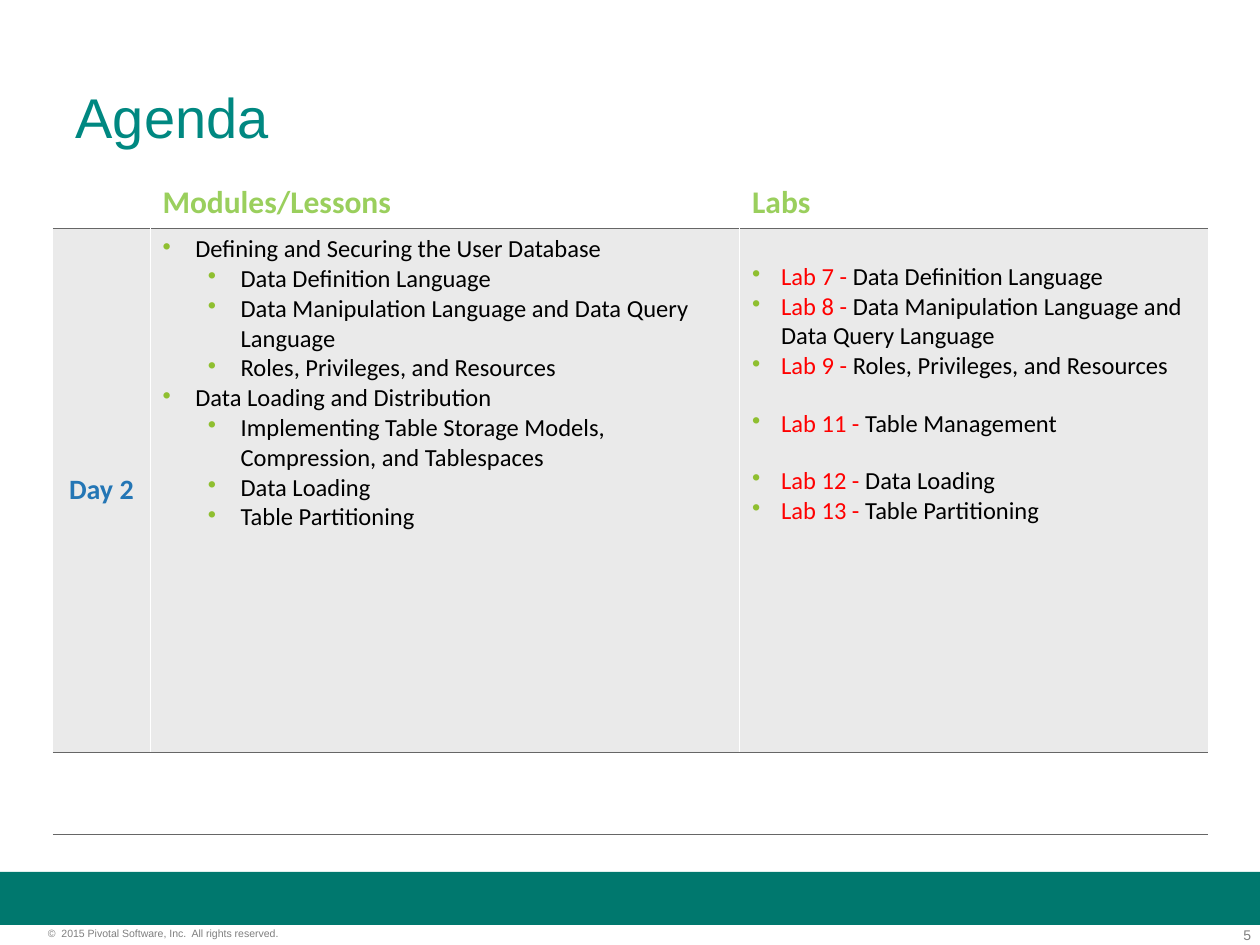
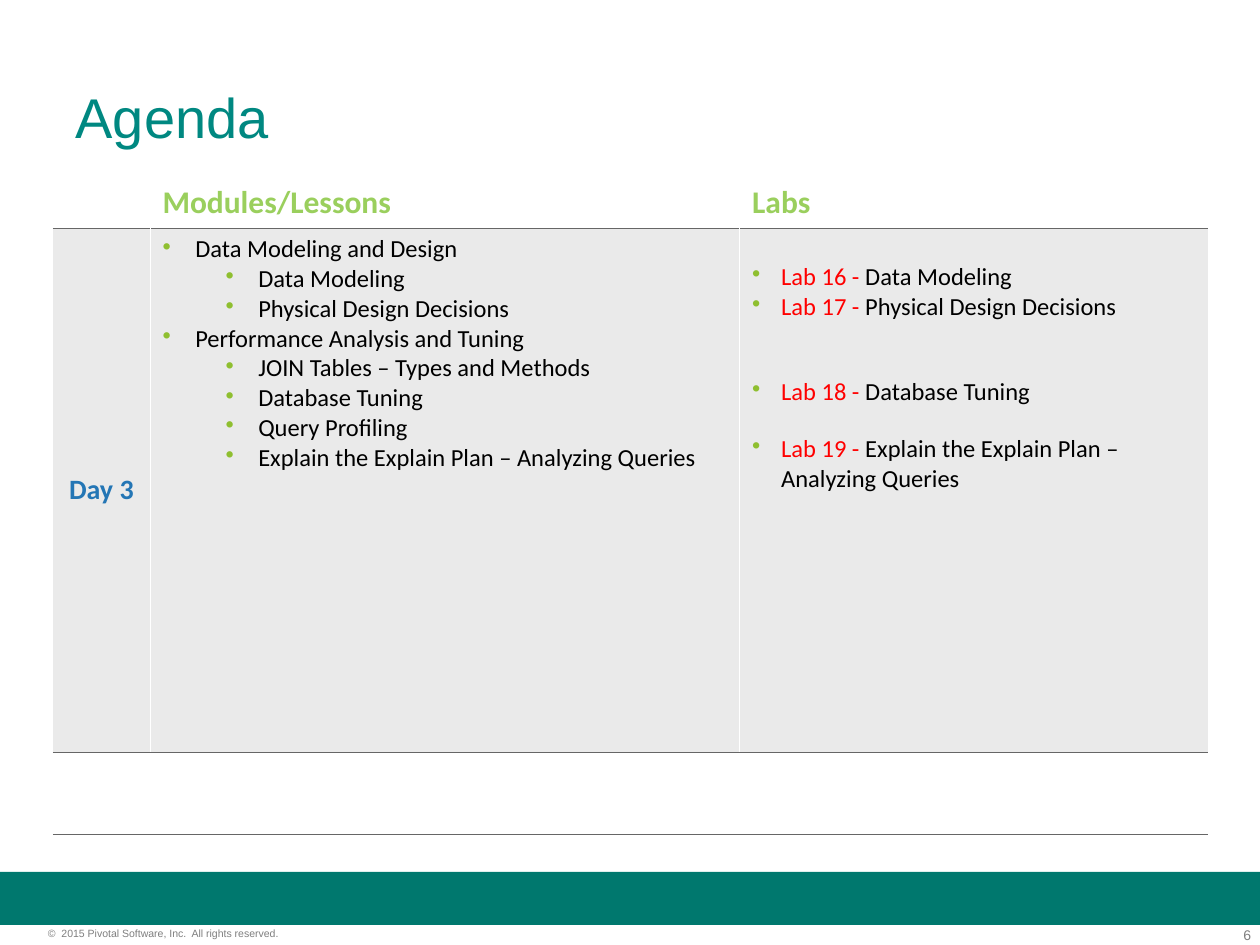
import pptx
import pptx.util
import pptx.dml.color
import pptx.enum.shapes
import pptx.enum.text
import pptx.oxml
import pptx.oxml.ns
from lxml import etree

Inches, Pt = pptx.util.Inches, pptx.util.Pt
RGBColor = pptx.dml.color.RGBColor
PP_ALIGN, MSO_ANCHOR = pptx.enum.text.PP_ALIGN, pptx.enum.text.MSO_ANCHOR

TITLE_TEAL = RGBColor(0x00, 0x88, 0x81)
BAND_TEAL = RGBColor(0x00, 0x78, 0x6E)
FOOTER_GREY = RGBColor(0x7F, 0x7F, 0x7F)
HEADER_GREEN = RGBColor(0x9A, 0xCF, 0x5D)
BULLET_GREEN = RGBColor(0x8F, 0xBF, 0x30)
DAY_BLUE = RGBColor(0x24, 0x76, 0xB5)
LAB_RED = RGBColor(0xFF, 0x00, 0x00)
BLACK = RGBColor(0x00, 0x00, 0x00)
WHITE = RGBColor(0xFF, 0xFF, 0xFF)
CELL_GREY = RGBColor(0xEA, 0xEA, 0xEA)
RULE_GREY = RGBColor(0x66, 0x66, 0x66)

COPYRIGHT = "©  2015 Pivotal Software, Inc.  All rights reserved."
HEADERS = ["", "Modules/Lessons", "Labs"]
# Each lab is (number, name, lines skipped above it).
DAYS = [
    {
        "page": 5,
        "day": "Day 2",
        "lesson_indent": 0.62,
        "modules": [
            ("Defining and Securing the User Database", [
                "Data Definition Language",
                "Data Manipulation Language and Data Query Language",
                "Roles, Privileges, and Resources",
            ]),
            ("Data Loading and Distribution", [
                "Implementing Table Storage Models, Compression, and Tablespaces",
                "Data Loading",
                "Table Partitioning",
            ]),
        ],
        "labs": [
            (7, "Data Definition Language", 0),
            (8, "Data Manipulation Language and Data Query Language", 0),
            (9, "Roles, Privileges, and Resources", 0),
            (11, "Table Management", 1),
            (12, "Data Loading", 1),
            (13, "Table Partitioning", 0),
        ],
    },
    {
        "page": 6,
        "day": "Day 3",
        "lesson_indent": 0.76,
        "modules": [
            ("Data Modeling and Design", [
                "Data Modeling",
                "Physical Design Decisions",
            ]),
            ("Performance Analysis and Tuning", [
                "JOIN Tables – Types and Methods",
                "Database Tuning",
                "Query Profiling",
                "Explain the Explain Plan – Analyzing Queries",
            ]),
        ],
        "labs": [
            (16, "Data Modeling", 0),
            (17, "Physical Design Decisions", 0),
            (18, "Database Tuning", 2),
            (19, "Explain the Explain Plan – Analyzing Queries", 1),
        ],
    },
]

COLUMN_WIDTHS = [0.77, 4.68, 3.72]
ROW_HEIGHTS = [0.47, 4.16, 0.65]
MODULE_INDENT, LAB_INDENT = 0.26, 0.23
SKIPPED_LINE = 15.75
LABS_TOP = 0.27
NO_TABLE_STYLE = "{2D5ABB26-0587-4C30-8999-92F81FD0307C}"


def set_font(p, name, size, color=None, bold=False):
    p.font.name, p.font.size, p.font.bold = name, Pt(size), bold
    if color is not None:
        p.font.color.rgb = color


def add_sub(parent, tag, **attributes):
    return etree.SubElement(parent, pptx.oxml.ns.qn(tag), **attributes)


def set_bullet(p, left, hang):
    pPr = p._p.get_or_add_pPr()
    pPr.set("marL", str(Inches(left)))
    pPr.set("indent", str(-Inches(hang)))
    add_sub(add_sub(pPr, "a:buClr"), "a:srgbClr", val=str(BULLET_GREEN))
    add_sub(pPr, "a:buChar", char="•")


def set_borders(cell, borders):
    """Draw borders, given as (side, colour) in the order L, R, T, B."""
    tcPr = cell._tc.get_or_add_tcPr()
    for side, color in borders:
        ln = add_sub(tcPr, f"a:ln{side}", w=str(Pt(0.45)))
        add_sub(add_sub(ln, "a:solidFill"), "a:srgbClr", val=str(color))


def next_paragraph(tf):
    """Return the first paragraph while it is empty, else a new one."""
    return tf.add_paragraph() if tf.paragraphs[0].runs else tf.paragraphs[0]


def add_footer_text(slide, text, left, top, width, height, size, align):
    tf = slide.shapes.add_textbox(*map(Inches, (left, top, width, height))).text_frame
    tf.margin_left = tf.margin_right = tf.margin_top = tf.margin_bottom = 0
    tf.word_wrap = True
    p = tf.paragraphs[0]
    p.text, p.alignment = text, align
    set_font(p, "Arial", size, FOOTER_GREY)


def add_frame(slide, page):
    """Add what every slide shares: band, page number, copyright and title."""
    band = slide.shapes.add_shape(pptx.enum.shapes.MSO_SHAPE.RECTANGLE,
                                  0, Inches(6.92), Inches(10), Inches(0.42))
    band.shadow.inherit = False
    band.fill.solid()
    band.fill.fore_color.rgb = BAND_TEAL
    band.line.fill.background()
    add_footer_text(slide, str(page), 9.35, 7.35, 0.58, 0.13, 8, PP_ALIGN.RIGHT)
    add_footer_text(slide, COPYRIGHT, 0.38, 7.36, 2.49, 0.1, 6, PP_ALIGN.LEFT)

    title = slide.shapes.title
    title.left, title.top = Inches(0.5), Inches(0.3)
    title.width, title.height = Inches(9), Inches(1.25)
    title.text_frame.vertical_anchor = MSO_ANCHOR.MIDDLE
    p = title.text_frame.paragraphs[0]
    p.text, p.alignment = "Agenda", PP_ALIGN.LEFT
    set_font(p, "Arial", 32, TITLE_TEAL)


def add_agenda_table(slide):
    frame = slide.shapes.add_table(
        len(ROW_HEIGHTS), len(COLUMN_WIDTHS), Inches(0.42), Inches(1.34),
        Inches(sum(COLUMN_WIDTHS)), Inches(sum(ROW_HEIGHTS)))
    table = frame.table
    table.first_row = table.horz_banding = False
    table._tbl.tblPr[0].text = NO_TABLE_STYLE
    for column, width in zip(table.columns, COLUMN_WIDTHS):
        column.width = Inches(width)
    for row, height in zip(table.rows, ROW_HEIGHTS):
        row.height = Inches(height)

    last = len(COLUMN_WIDTHS) - 1
    for r, row in enumerate(table.rows):
        for c, cell in enumerate(row.cells):
            borders = []
            if r > 0:
                if c > 0:
                    borders.append(("L", WHITE))
                if c < last:
                    borders.append(("R", WHITE))
                borders.append(("T", RULE_GREY))
            set_borders(cell, borders + [("B", RULE_GREY)])
            if r == 1:
                cell.fill.solid()
                cell.fill.fore_color.rgb = CELL_GREY
            else:
                cell.fill.background()
    return table


def fill_label(cell, text, size, color, anchor, align):
    cell.vertical_anchor = anchor
    p = cell.text_frame.paragraphs[0]
    p.text, p.alignment = text, align
    set_font(p, "Calibri", size, color, bold=True)


def fill_modules(cell, modules, lesson_indent):
    for module, lessons in modules:
        entries = [(module, 0, MODULE_INDENT)]
        entries += [(lesson, 1, lesson_indent) for lesson in lessons]
        for text, level, indent in entries:
            p = next_paragraph(cell.text_frame)
            p.text, p.level = text, level
            set_bullet(p, indent, MODULE_INDENT)
            set_font(p, "Calibri", 14, BLACK)


def fill_labs(cell, labs):
    cell.margin_top = Inches(LABS_TOP)
    for number, name, skipped in labs:
        p = next_paragraph(cell.text_frame)
        set_bullet(p, LAB_INDENT, LAB_INDENT)
        if skipped:
            p.space_before = Pt(SKIPPED_LINE * skipped)
        set_font(p, "Calibri", 14)
        for text, color in ((f"Lab {number} - ", LAB_RED), (name, BLACK)):
            r = p.add_run()
            r.text = text
            r.font.color.rgb = color


def main():
    prs = pptx.Presentation()
    prs.slide_width, prs.slide_height = Inches(10), Inches(7.5)
    title_only = prs.slide_layouts[5]
    for day in DAYS:
        slide = prs.slides.add_slide(title_only)
        add_frame(slide, day["page"])
        table = add_agenda_table(slide)
        for c, header in enumerate(HEADERS):
            if header:
                fill_label(table.cell(0, c), header, 18, HEADER_GREEN,
                           MSO_ANCHOR.BOTTOM, PP_ALIGN.LEFT)
        fill_label(table.cell(1, 0), day["day"], 16, DAY_BLUE,
                   MSO_ANCHOR.MIDDLE, PP_ALIGN.CENTER)
        fill_modules(table.cell(1, 1), day["modules"], day["lesson_indent"])
        fill_labs(table.cell(1, 2), day["labs"])
    prs.save("out.pptx")


if __name__ == "__main__":
    main()
